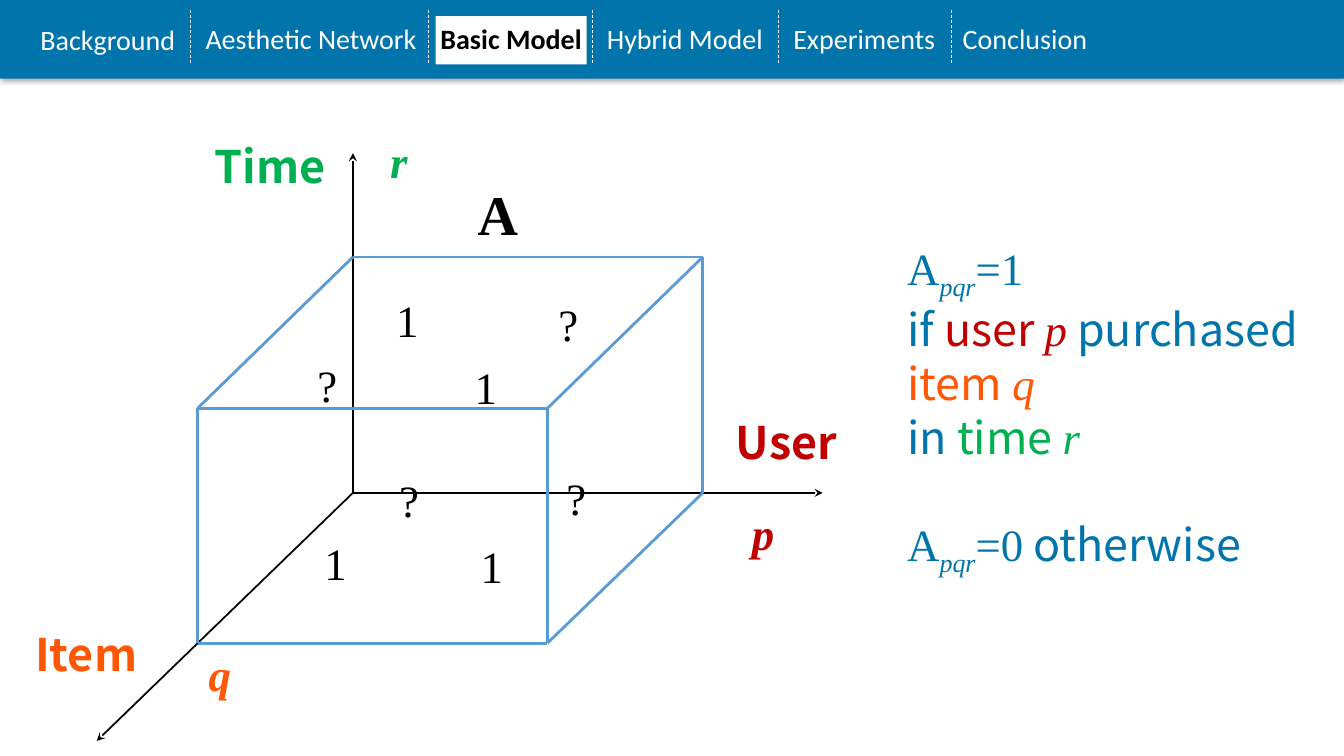
"""Build the Basic Model slide: a user, item and time tensor drawn as a cube."""
from lxml import etree
from pptx import Presentation
from pptx.dml.color import RGBColor
from pptx.enum.dml import MSO_LINE
from pptx.enum.shapes import MSO_CONNECTOR, MSO_SHAPE
from pptx.enum.text import MSO_AUTO_SIZE, PP_ALIGN
from pptx.oxml.ns import qn
from pptx.util import Inches, Pt

STRAIGHT = MSO_CONNECTOR.STRAIGHT
RECT = MSO_SHAPE.RECTANGLE
DASH = MSO_LINE.DASH
GROW = MSO_AUTO_SIZE.SHAPE_TO_FIT_TEXT
LEFT, CENTER = PP_ALIGN.LEFT, PP_ALIGN.CENTER

COLORS = {"bar": "0174AB", "white": "FFFFFF", "black": "000000", "edge": "5B9BD5",
          "time": "00B050", "user": "C00000", "item": "FF5705"}
NAV, SANS, SERIF = "Calibri", "Noto Sans CJK SC", "Times New Roman"


class Deck:
    """Hold the current slide and draw styled elements on it."""

    def __init__(self, prs):
        self.s = prs.slides.add_slide(prs.slide_layouts[6])

    def color(self, name):
        return RGBColor.from_string(COLORS[name])

    def rect(self, x, y, w, h, fill, shadow=False):
        sp = self.s.shapes.add_shape(RECT, Inches(x), Inches(y), Inches(w), Inches(h))
        sp.fill.solid()
        sp.fill.fore_color.rgb = self.color(fill)
        sp.line.fill.background()
        sp.shadow.inherit = False
        if shadow:
            effects = sp._element.spPr.find(qn("a:effectLst"))
            outer = etree.SubElement(effects, qn("a:outerShdw"), blurRad=str(Pt(4)),
                                     dist=str(Pt(1)), dir="5400000", rotWithShape="0")
            tint = etree.SubElement(outer, qn("a:srgbClr"), val=COLORS["black"])
            etree.SubElement(tint, qn("a:alpha"), val="40000")

    def line(self, start, end, color, width, dash=None, arrow=False):
        cx = self.s.shapes.add_connector(STRAIGHT, *map(Inches, start + end))
        cx.line.color.rgb = self.color(color)
        cx.line.width = Pt(width)
        if dash:
            cx.line.dash_style = dash
        if arrow:
            etree.SubElement(cx.line._get_or_add_ln(), qn("a:tailEnd"), type="stealth")
        etree.SubElement(cx._element.spPr, qn("a:effectLst"))

    def frame(self, x, y, w, h):
        tf = self.s.shapes.add_textbox(Inches(x), Inches(y), Inches(w), Inches(h)).text_frame
        tf.word_wrap = True
        tf.auto_size = GROW
        return tf

    def style(self, r, font, size, color, bold=False, italic=False):
        r.font.name, r.font.size = font, Pt(size)
        r.font.bold, r.font.italic = bold, italic
        r.font.color.rgb = self.color(color)

    def label(self, text, x, y, w, h, font, size, color, bold=False, italic=False, align=LEFT):
        tf = self.frame(x, y, w, h)
        tf.text = text
        p = tf.paragraphs[0]
        p.alignment = align
        self.style(p.runs[0], font, size, color, bold, italic)

    def rich(self, x, y, w, h, size, paragraphs):
        tf = self.frame(x, y, w, h)
        for i, (before, runs) in enumerate(paragraphs):
            p = tf.add_paragraph() if i else tf.paragraphs[0]
            if before:
                p.space_before = Pt(before)
            for text, font, color, italic, baseline in runs:
                r = p.add_run()
                r.text = text
                self.style(r, font, size, color, italic=italic)
                if baseline:
                    r._r.get_or_add_rPr().set("baseline", str(baseline * 1000))


def navigation(deck):
    """Draw the section bar with its active tab."""
    deck.rect(0, 0, 13.33, 0.78, "bar", shadow=True)
    deck.rect(4.32, 0.16, 1.5, 0.48, "white")
    for text, x, y, w in [("Aesthetic Network", 1.94, 0.16, 2.73), ("Hybrid Model", 5.92, 0.16, 1.85),
                          ("Experiments", 7.77, 0.16, 2.2), ("Conclusion", 9.45, 0.16, 2.2)]:
        deck.label(text, x, y, w, 0.44, NAV, 20, "white")
    deck.label("Background", 0.25, 0.17, 1.64, 0.44, NAV, 20, "white", align=CENTER)
    deck.label("Basic Model", 4.27, 0.16, 1.64, 0.44, NAV, 20, "black", bold=True)
    for x in (1.89, 4.25, 5.88, 7.72, 9.44):
        deck.line((x, 0.1), (x, 0.64), "white", 0.5, dash=DASH)


def tensor(deck):
    """Draw the axes, the cube, its entries and the axis names."""
    origin = (3.5, 4.89)
    for tip in [(8.16, 4.89), (3.5, 1.52), (0.96, 7.35)]:
        deck.line(origin, tip, "black", 1.25, arrow=True)

    back_tl, back_tr, back_br = (3.5, 2.55), (6.97, 2.55), (6.97, 4.89)
    front_tl, front_tr, front_br, front_bl = (1.96, 4.05), (5.43, 4.05), (5.43, 6.38), (1.96, 6.38)
    outline = [back_tl, back_tr, back_br, front_br, front_bl, front_tl, back_tl]
    edges = list(zip(outline, outline[1:]))
    edges += [(front_tr, corner) for corner in (front_tl, front_br, back_tr)]
    for start, end in edges:
        deck.line(start, end, "edge", 2)

    for text, x, y in [("1", 3.83, 2.86), ("1", 4.61, 3.52), ("?", 3.05, 3.5), ("?", 5.44, 2.89),
                       ("?", 5.52, 4.62), ("?", 3.86, 4.64), ("1", 3.12, 5.27), ("1", 4.67, 5.3)]:
        deck.label(text, x, y, 0.7, 0.64, SERIF, 32, "black")
    deck.label("A", 4.64, 1.73, 2.13, 0.77, SERIF, 40, "black", bold=True)

    for text, x, y, w, color in [("Time", 2.03, 1.33, 2.13, "time"), ("User", 7.2, 4.07, 1.36, "user"),
                                 ("Item", 0.25, 6.17, 1.69, "item")]:
        deck.label(text, x, y, w, 0.64, SANS, 32, color, bold=True)
    for text, x, y, w, color in [("r", 3.77, 1.28, 2.13, "time"), ("p", 7.36, 4.97, 0.54, "user"),
                                 ("q", 1.97, 6.37, 1.69, "item")]:
        deck.label(text, x, y, w, 0.64, SERIF, 32, color, bold=True, italic=True)


def definition(deck):
    """Write the meaning of a tensor entry."""
    def word(text, color="bar"):
        return text, SANS, color, False, 0

    def symbol(text, color="bar", italic=True, baseline=0):
        return text, SERIF, color, italic, baseline

    entry = [symbol("A", italic=False), symbol("pqr", baseline=-25)]
    deck.rich(8.9, 2.34, 4.43, 3.33, 32, [
        (0, entry + [symbol("=1", italic=False)]),
        (0, [word("if "), word("user ", "user"), symbol("p", "user"), word(" purchased "),
             word("item ", "item"), symbol("q", "item")]),
        (0, [word("in "), word("time ", "time"), symbol("r", "time")]),
        (38, entry + [symbol("=0", italic=False), word(" otherwise")]),
    ])


def main():
    """Build and save the slide."""
    prs = Presentation()
    prs.slide_width, prs.slide_height = Inches(13.33), Inches(7.5)
    deck = Deck(prs)
    navigation(deck)
    tensor(deck)
    definition(deck)
    prs.save("out.pptx")


if __name__ == "__main__":
    main()
